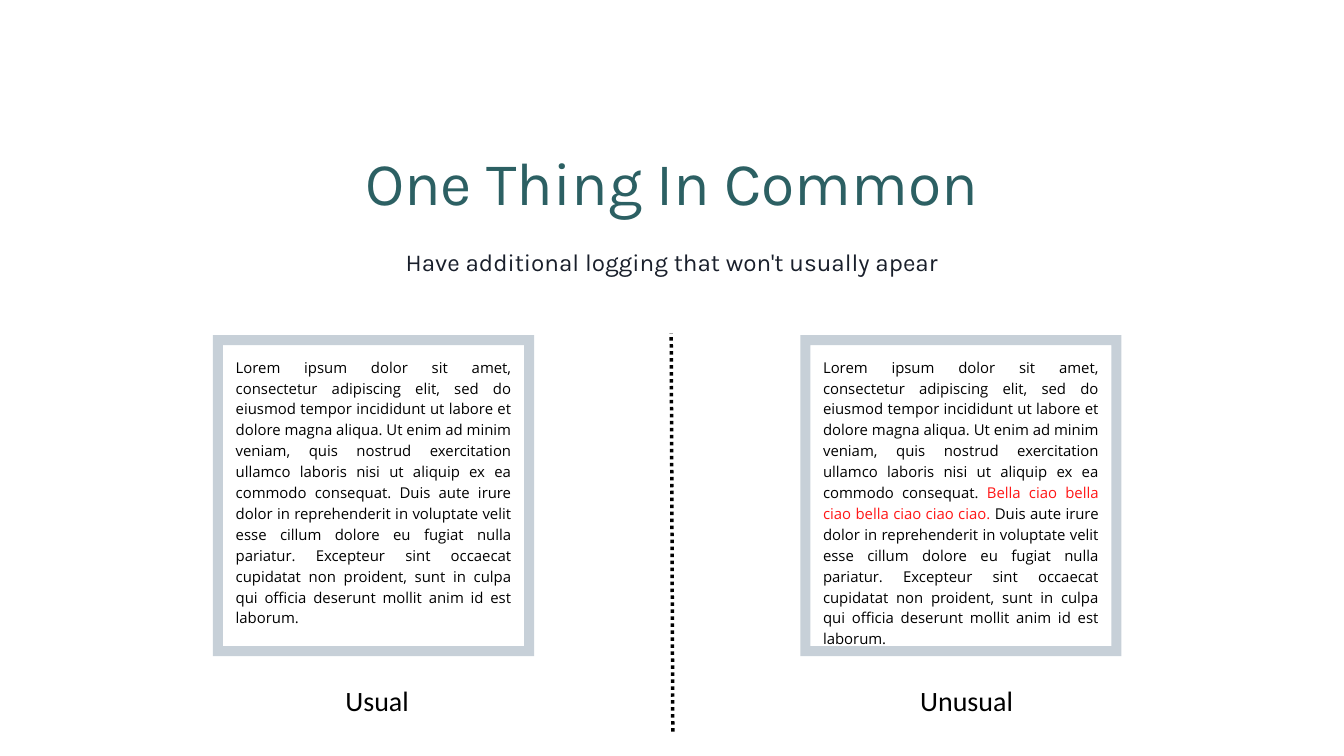
from dataclasses import dataclass

from lxml.etree import SubElement
from pptx import Presentation
from pptx.dml.color import RGBColor
from pptx.enum.dml import MSO_LINE
from pptx.enum.shapes import MSO_CONNECTOR, MSO_SHAPE
from pptx.enum.text import MSO_ANCHOR, MSO_AUTO_SIZE, PP_ALIGN
from pptx.oxml.ns import qn
from pptx.util import Cm, Pt

COLORS = {
    "title": "2C6063",
    "subtitle": "191F2B",
    "text": "000000",
    "highlight": "FF1616",
    "frame": "C7D0D8",
    "background": "FFFFFF",
}

OPENING = (
    "Lorem ipsum dolor sit amet, consectetur adipiscing elit, sed do eiusmod "
    "tempor incididunt ut labore et dolore magna aliqua. Ut enim ad minim veniam, "
    "quis nostrud exercitation ullamco laboris nisi ut aliquip ex ea commodo consequat. "
)
EXTRA = "Bella ciao bella ciao bella ciao ciao ciao."
CLOSING = (
    "Duis aute irure dolor in reprehenderit in voluptate velit esse cillum dolore "
    "eu fugiat nulla pariatur. Excepteur sint occaecat cupidatat non proident, sunt "
    "in culpa qui officia deserunt mollit anim id est laborum."
)

FRAME_TOP, FRAME_SIZE, FRAME_BORDER = 12.67, 12.14, 0.38
LOG_INSET, LOG_TOP = 0.86, 13.43
LABEL_TOP, LABEL_HEIGHT = 25.63, 1.4
HEAD_LEFT, HEAD_WIDTH = 10.9, 29.01


@dataclass
class Box:
    left: float
    top: float
    width: float
    height: float

    def emu(self) -> tuple:
        return Cm(self.left), Cm(self.top), Cm(self.width), Cm(self.height)


@dataclass
class Panel:
    left: float
    runs: list
    log_height: float
    label: str
    label_left: float
    label_width: float


PANELS = [
    Panel(8.05, [(OPENING + CLOSING, "text")], 9.17, "Usual", 12.4, 3.71),
    Panel(
        30.25,
        [(OPENING, "text"), (EXTRA, "highlight"), (" " + CLOSING, "text")],
        9.93, "Unusual", 33.83, 5.41,
    ),
]


def rgb(name: str) -> RGBColor:
    return RGBColor.from_string(COLORS[name])


def write(sp, runs: list, *, font: str, size: float, spacing: float,
          align=PP_ALIGN.CENTER) -> None:
    tf = sp.text_frame
    tf.word_wrap = True
    tf.auto_size = MSO_AUTO_SIZE.SHAPE_TO_FIT_TEXT
    tf.vertical_anchor = MSO_ANCHOR.TOP
    tf.margin_left = tf.margin_right = tf.margin_top = tf.margin_bottom = 0
    p = tf.paragraphs[0]
    p.alignment = align
    p.line_spacing = Pt(spacing)
    for text, color in runs:
        r = p.add_run()
        r.text = text
        r.font.name = font
        r.font.size = Pt(size)
        r.font.color.rgb = rgb(color)


def add_text(s, box: Box, runs: list, **fmt) -> None:
    write(s.shapes.add_textbox(*box.emu()), runs, **fmt)


def add_title(s, box: Box, text: str) -> None:
    sp = s.shapes.title
    sp.left, sp.top, sp.width, sp.height = box.emu()
    write(sp, [(text, "title")], font="Karla", size=65, spacing=78)


def add_divider(s) -> None:
    line = s.shapes.add_connector(
        MSO_CONNECTOR.STRAIGHT, Cm(25.43), Cm(27.66), Cm(25.37), Cm(12.6))
    line.line.color.rgb = rgb("text")
    line.line.width = Pt(3.75)
    line.line.dash_style = MSO_LINE.ROUND_DOT
    SubElement(line._element.spPr, qn("a:effectLst"))


def add_panel(s, panel: Panel) -> None:
    box = Box(panel.left, FRAME_TOP, FRAME_SIZE, FRAME_SIZE)
    sp = s.shapes.add_shape(MSO_SHAPE.FRAME, *box.emu())
    sp.adjustments[0] = FRAME_BORDER / FRAME_SIZE
    sp.shadow.inherit = False
    sp.fill.solid()
    sp.fill.fore_color.rgb = rgb("frame")
    sp.line.fill.background()

    log_box = Box(panel.left + LOG_INSET, LOG_TOP,
                  FRAME_SIZE - 2 * LOG_INSET, panel.log_height)
    add_text(s, log_box, panel.runs, font="Open Sans", size=16, spacing=22.4,
             align=PP_ALIGN.JUSTIFY)
    label_box = Box(panel.label_left, LABEL_TOP, panel.label_width, LABEL_HEIGHT)
    add_text(s, label_box, [(panel.label, "text")], font="Calibri", size=30, spacing=42)


def main() -> None:
    prs = Presentation()
    prs.slide_width, prs.slide_height = Cm(50.8), Cm(28.58)
    s = prs.slides.add_slide(prs.slide_layouts[5])
    s.background.fill.solid()
    s.background.fill.fore_color.rgb = rgb("background")

    add_title(s, Box(HEAD_LEFT, 5.46, HEAD_WIDTH, 2.79), "One Thing In Common")
    add_text(s, Box(HEAD_LEFT, 9.09, HEAD_WIDTH, 1.24),
             [("Have additional logging that won't usually apear", "subtitle")],
             font="Karla", size=26, spacing=39)
    add_divider(s)
    for panel in PANELS:
        add_panel(s, panel)
    prs.save("out.pptx")


if __name__ == "__main__":
    main()
